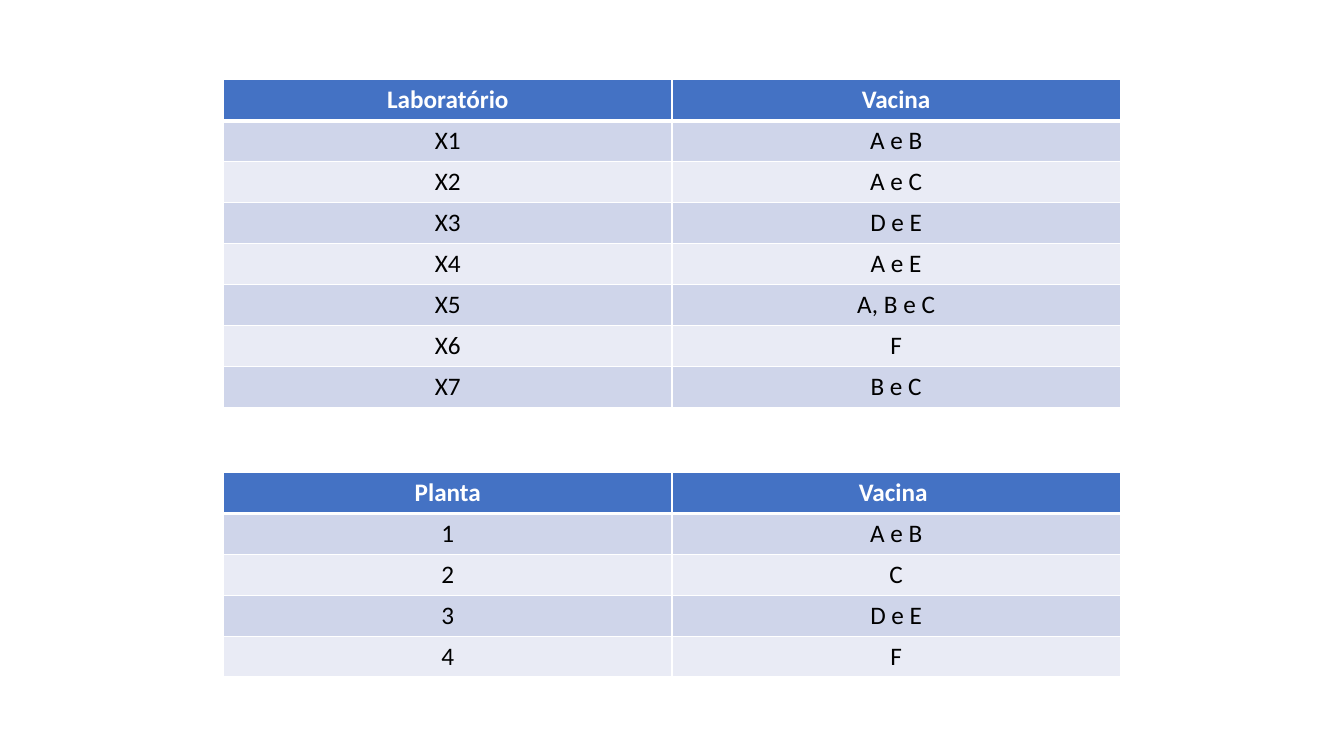
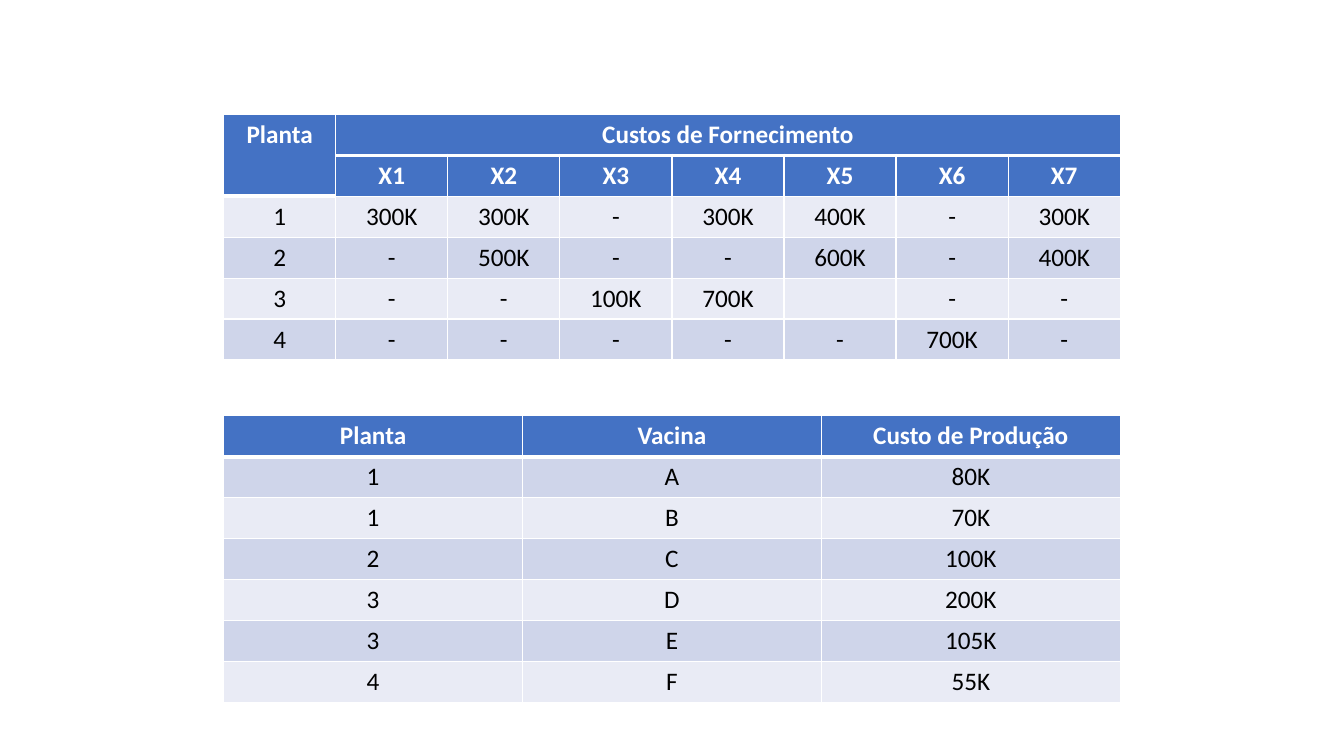
from lxml import etree
from pptx import Presentation
from pptx.dml.color import RGBColor
from pptx.enum.text import PP_ALIGN
from pptx.oxml.ns import qn
from pptx.util import Pt

CENTER = PP_ALIGN.CENTER
PX = 9525  # EMU in one px, at 96 px to the inch
SLIDE_WIDTH, SLIDE_HEIGHT = 1280, 720
TABLE_LEFT, TABLE_WIDTH, ROW_HEIGHT = 213, 854, 39
BLANK_LAYOUT = 6

HEADER_FILL = "4472C4"
BAND_FILLS = ("E9EBF5", "CFD5EA")  # even rows, odd rows
BORDER_COLOR = "FFFFFF"
THIN, THICK = 1, 3
HEADER_TEXT = {"name": "Calibri", "size": Pt(18), "bold": True}
BODY_TEXT = {**HEADER_TEXT, "bold": False}
HEADER_TEXT_COLOR, BODY_TEXT_COLOR = "FFFFFF", "000000"

LABORATORIES = [f"X{number}" for number in range(1, 8)]
LABORATORY_VACCINES = [
    ("Laboratório", "Vacina"),
    *zip(LABORATORIES,
         ("A e B", "A e C", "D e E", "A e E", "A, B e C", "F", "B e C")),
]
PLANT_VACCINES = [
    ("Planta", "Vacina "),
    ("1", "A e B"),
    ("2", "C"),
    ("3", "D e E"),
    ("4", "F"),
]
SUPPLY_COSTS = [
    ("Planta", "Custos de Fornecimento", "", "", "", "", "", ""),
    ("", *LABORATORIES),
    ("1", "300K", "300K", "-", "300K", "400K", "-", "300K"),
    ("2", "-", "500K", "-", "-", "600K", "-", "400K"),
    ("3", "-", "-", "100K", "700K", "", "-", "-"),
    ("4", "-", "-", "-", "-", "-", "700K", "-"),
]
PRODUCTION_COSTS = [
    ("Planta", "Vacina", "Custo de Produção"),
    ("1", "A", "80K"),
    ("1", "B", "70K"),
    ("2", "C", "100K"),
    ("3", "D", "200K"),
    ("3", "E", "105K"),
    ("4", "F", "55K"),
]


def px(length):
    return round(length * PX)


def color(hex_code):
    return RGBColor.from_string(hex_code)


def set_borders(cell, top, bottom):
    """Draw the four cell borders; widths are in points."""
    properties = cell._tc.get_or_add_tcPr()
    widths = {"a:lnL": THIN, "a:lnR": THIN, "a:lnT": top, "a:lnB": bottom}
    for tag, width in widths.items():
        line = etree.SubElement(properties, qn(tag), w=str(Pt(width)))
        fill = etree.SubElement(line, qn("a:solidFill"))
        etree.SubElement(fill, qn("a:srgbClr"), val=BORDER_COLOR)


def set_text(cell, text, text_format, text_color):
    paragraph = cell.text_frame.paragraphs[0]
    paragraph.alignment = CENTER
    if text:
        run = paragraph.add_run()
        run.text = text
        for name, value in text_format.items():
            setattr(run.font, name, value)
        run.font.color.rgb = color(text_color)


def add_banded_table(slide, box, rows, header_rows=1, merges=()):
    """Place a table in box (left, top, width, row height)."""
    left, top, width, row_height = box
    column_count = len(rows[0])
    table = slide.shapes.add_table(
        len(rows), column_count, px(left), px(top),
        px(width), px(row_height * len(rows))).table
    for column in table.columns:
        column.width = px(width / column_count)
    for first, last in merges:
        table.cell(*first).merge(table.cell(*last))

    def bottom_width(row, column):
        # The first row and the header cells merged into it end in a thick rule
        thick = row == 0 or table.cell(row, column).is_spanned
        return THICK if thick else THIN

    for row, texts in enumerate(rows):
        table.rows[row].height = px(row_height)
        is_header = row < header_rows
        for column, text in enumerate(texts):
            cell = table.cell(row, column)
            set_borders(cell, bottom_width(row - 1, column) if row else THIN,
                        bottom_width(row, column))
            cell.fill.solid()
            cell.fill.fore_color.rgb = color(
                HEADER_FILL if is_header else BAND_FILLS[row % 2])
            set_text(cell, text, HEADER_TEXT if is_header else BODY_TEXT,
                     HEADER_TEXT_COLOR if is_header else BODY_TEXT_COLOR)


def table_box(top):
    return TABLE_LEFT, top, TABLE_WIDTH, ROW_HEIGHT


def build_vaccines_slide(slide):
    add_banded_table(slide, table_box(76), LABORATORY_VACCINES)
    add_banded_table(slide, table_box(450), PLANT_VACCINES)


def build_costs_slide(slide):
    # Plant heading spans two rows, supply heading spans the laboratories
    add_banded_table(slide, table_box(109), SUPPLY_COSTS, header_rows=2,
                     merges=[((0, 0), (1, 0)), ((0, 1), (0, 7))])
    add_banded_table(slide, table_box(396), PRODUCTION_COSTS)


def main():
    presentation = Presentation()
    presentation.slide_width = px(SLIDE_WIDTH)
    presentation.slide_height = px(SLIDE_HEIGHT)
    layout = presentation.slide_layouts[BLANK_LAYOUT]
    for build in (build_vaccines_slide, build_costs_slide):
        build(presentation.slides.add_slide(layout))
    presentation.save("out.pptx")


if __name__ == "__main__":
    main()
